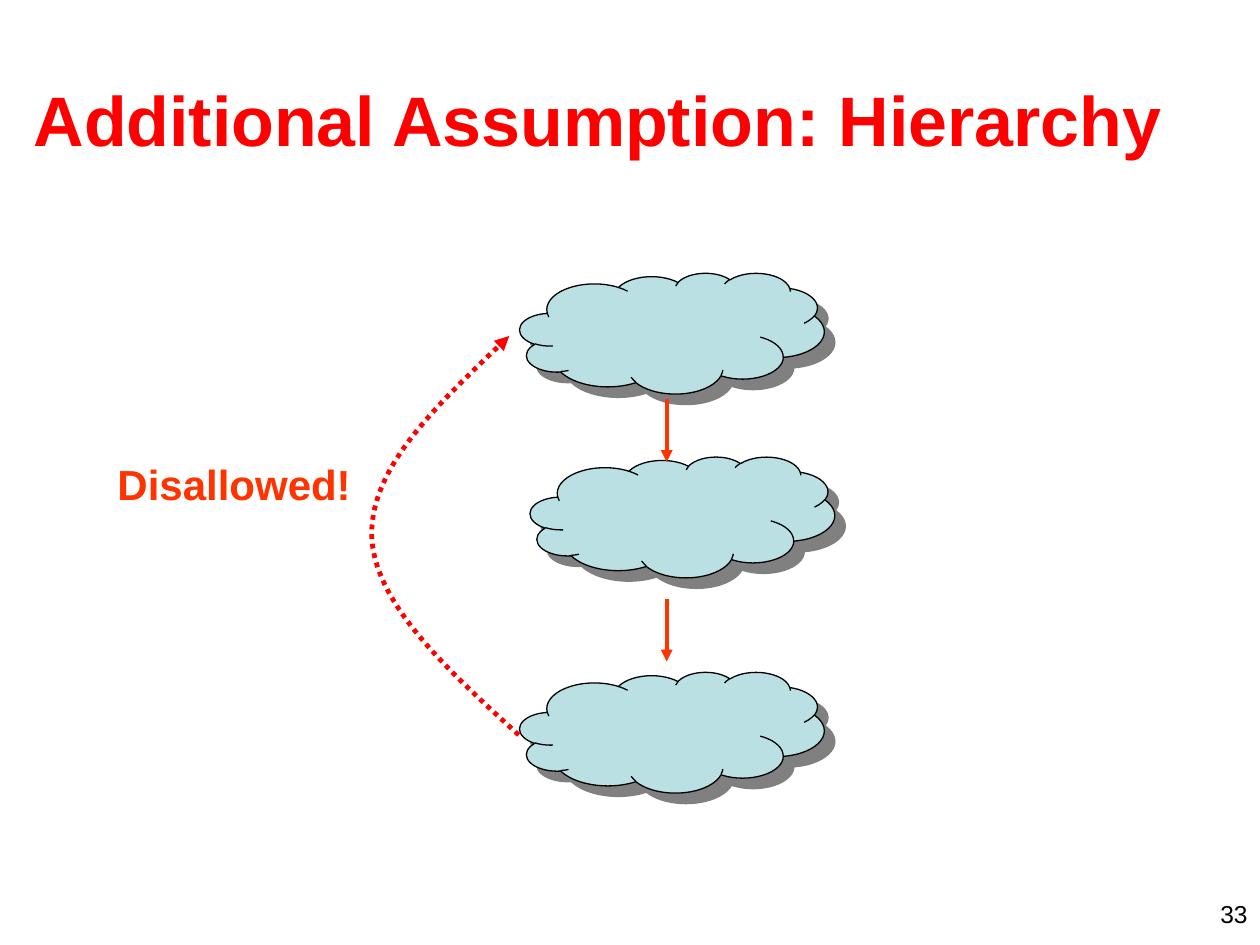
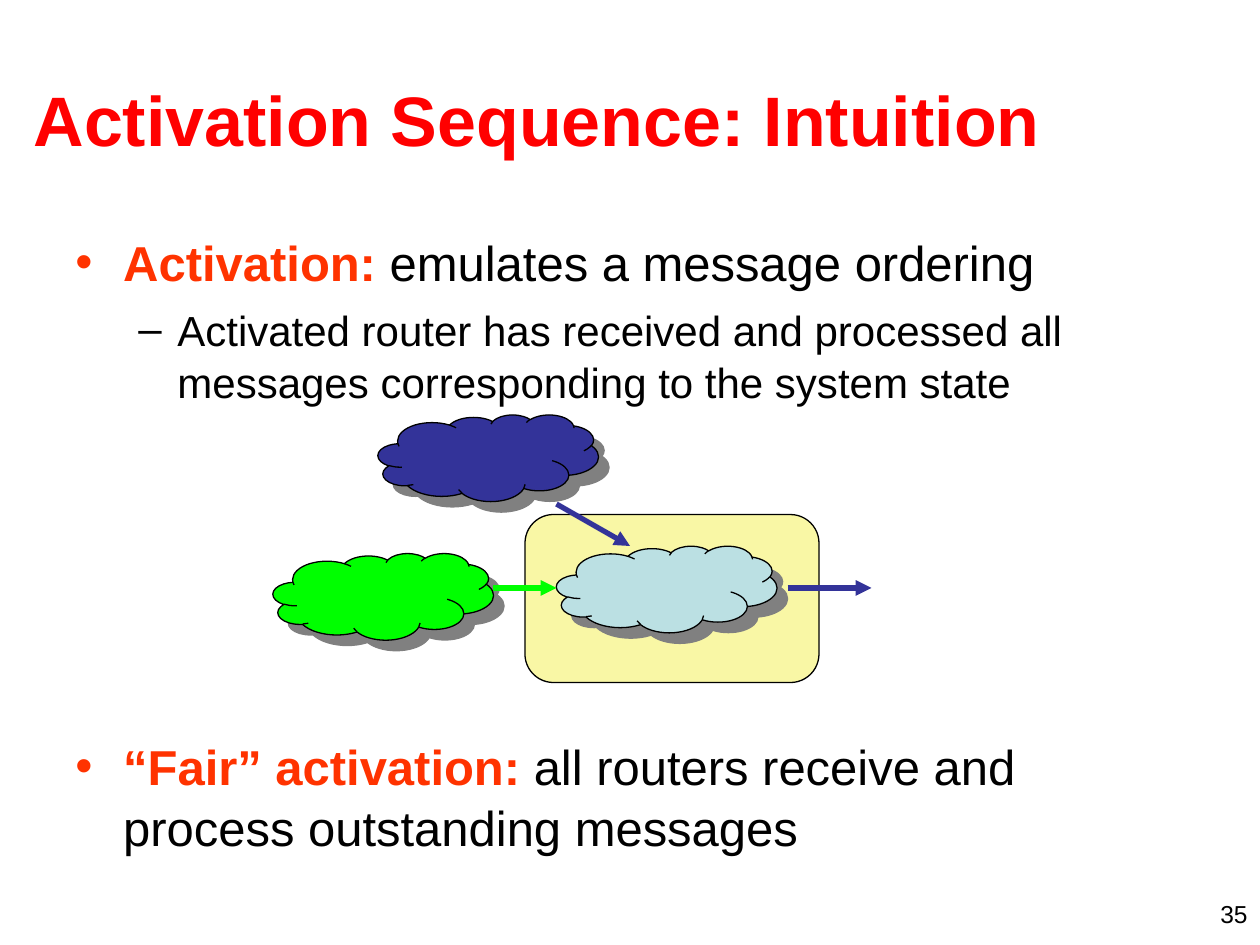
from dataclasses import dataclass

from lxml import etree
from pptx import Presentation
from pptx.dml.color import RGBColor
from pptx.enum.dml import MSO_LINE
from pptx.enum.shapes import MSO_CONNECTOR, MSO_SHAPE
from pptx.enum.text import MSO_ANCHOR, MSO_AUTO_SIZE, PP_ALIGN
from pptx.oxml.ns import qn
from pptx.util import Emu, Inches, Pt

CLOUD, ROUNDED = MSO_SHAPE.CLOUD, MSO_SHAPE.ROUNDED_RECTANGLE
STRAIGHT, DOTTED = MSO_CONNECTOR.STRAIGHT, MSO_LINE.ROUND_DOT
LEFT, CENTER, RIGHT = PP_ALIGN.LEFT, PP_ALIGN.CENTER, PP_ALIGN.RIGHT
MIDDLE, NO_AUTOFIT = MSO_ANCHOR.MIDDLE, MSO_AUTO_SIZE.NONE

FONT = "Arial"
COLORS = {
    "title": "FF0000", "accent": "FF3300", "text": "000000", "outline": "000000",
    "router": "BBE0E3", "navy": "333399", "green": "00FF00",
    "highlight": "F9F7A5", "shadow": "808080",
}
TITLE_ONLY = 5
SLIDE_WIDTH, SLIDE_HEIGHT = Inches(10), Inches(7.5)
COLUMNS, ROWS = 120, 90


@dataclass(frozen=True)
class Box:
    """Area in grid columns and rows."""
    column: float
    row: float
    width: float
    height: float

    def place(self) -> tuple:
        return across(self.column), down(self.row), across(self.width), down(self.height)


@dataclass(frozen=True)
class Cloud:
    column: float
    row: float
    color: str = "router"


@dataclass(frozen=True)
class Arrow:
    start: tuple
    end: tuple
    color: str
    weight: float


@dataclass(frozen=True)
class TextRun:
    text: str
    color: str = "text"
    bold: bool = False


@dataclass(frozen=True)
class BulletStyle:
    mark: str
    color: str
    size: int
    margin: float
    hanging: float
    space_before: int


TITLE_BOX = Box(2, 3.8, 115, 15)
NUMBER_BOX = Box(92, 85, 28, 3)
LARGE_CLOUD, SMALL_CLOUD = (29, 11.5), (21, 8.25)
POINT = BulletStyle("•", "accent", 28, 0.38, 0.38, 7)
SUBPOINT = BulletStyle("–", "text", 24, 0.81, 0.31, 6)

HIERARCHY_CLOUDS = [Cloud(49.5, 26), Cloud(50.5, 43.5), Cloud(49.5, 64)]
HIERARCHY_ARROWS = [Arrow((63.5, row), (63.5, row + 6), "accent", 2.25) for row in (38, 57)]
FORBIDDEN_CURVE = [(49.4, 70), (42.5, 63.7), (35.6, 57.4), (35.4, 51),
                   (35.3, 44.6), (41.9, 38.3), (48.5, 32)]

MESSAGE_CLOUDS = [Cloud(36, 39.5, "navy"), Cloud(26, 52.7, "green"), Cloud(53, 52)]
MESSAGE_ARROWS = [
    Arrow((53, 48), (60, 52), "navy", 3),
    Arrow((47, 56), (53, 56), "green", 3),
    Arrow((75, 56), (83, 56), "navy", 3),
]
ACTIVATION = [
    (POINT, [TextRun("Activation:", "accent", True),
             TextRun(" emulates a message ordering")]),
    (SUBPOINT, [TextRun("Activated router has received and processed all messages "
                        "corresponding to the system state")]),
]
FAIR_ACTIVATION = [
    (POINT, [TextRun("“Fair” activation: ", "accent", True),
             TextRun("all routers receive and process outstanding messages")]),
]


def across(columns: float) -> Emu:
    return Emu(round(SLIDE_WIDTH * columns / COLUMNS))


def down(rows: float) -> Emu:
    return Emu(round(SLIDE_HEIGHT * rows / ROWS))


def rgb(name: str) -> RGBColor:
    return RGBColor.from_string(COLORS[name])


def add_run(paragraph, run: TextRun, size: float) -> None:
    text_run = paragraph.add_run()
    text_run.text = run.text
    font = text_run.font
    font.name, font.size, font.bold = FONT, Pt(size), run.bold
    font.color.rgb = rgb(run.color)


def add_text(slide, box: Box, run: TextRun, size: float, alignment, wrap: bool = True) -> None:
    frame = slide.shapes.add_textbox(*box.place()).text_frame
    frame.word_wrap = wrap
    paragraph = frame.paragraphs[0]
    paragraph.alignment = alignment
    add_run(paragraph, run, size)


def add_titled_slide(presentation, title: str, number: int):
    slide = presentation.slides.add_slide(presentation.slide_layouts[TITLE_ONLY])
    shape = slide.shapes.title
    shape.left, shape.top, shape.width, shape.height = TITLE_BOX.place()
    frame = shape.text_frame
    frame.auto_size, frame.vertical_anchor = NO_AUTOFIT, MIDDLE
    frame.paragraphs[0].alignment = LEFT
    add_run(frame.paragraphs[0], TextRun(title, "title", True), 40)
    add_text(slide, NUMBER_BOX, TextRun(str(number)), 14, RIGHT)
    return slide


def add_bullets(slide, box: Box, items: list) -> None:
    frame = slide.shapes.add_textbox(*box.place()).text_frame
    frame.word_wrap = True
    for index, (style, runs) in enumerate(items):
        paragraph = frame.add_paragraph() if index else frame.paragraphs[0]
        if index:
            paragraph.space_before = Pt(style.space_before)
        paragraph.line_spacing = 1.05
        properties = paragraph._p.get_or_add_pPr()
        properties.set("marL", str(Inches(style.margin)))
        properties.set("indent", str(-Inches(style.hanging)))
        bullet_color = etree.SubElement(properties, qn("a:buClr"))
        etree.SubElement(bullet_color, qn("a:srgbClr"), val=COLORS[style.color])
        etree.SubElement(properties, qn("a:buFont"), typeface=FONT)
        etree.SubElement(properties, qn("a:buChar"), char=style.mark)
        for run in runs:
            add_run(paragraph, run, style.size)


def add_outlined(slide, kind, box: Box, color: str):
    shape = slide.shapes.add_shape(kind, *box.place())
    shape.fill.solid()
    shape.fill.fore_color.rgb = rgb(color)
    shape.line.color.rgb = rgb("outline")
    shape.line.width = Pt(0.75)
    shape.shadow.inherit = False
    return shape


def add_clouds(slide, clouds: list, size: tuple) -> None:
    for cloud in clouds:
        shape = add_outlined(slide, CLOUD, Box(cloud.column, cloud.row, *size), cloud.color)
        effects = shape._element.spPr.find(qn("a:effectLst"))
        shadow = etree.SubElement(effects, qn("a:outerShdw"), dist=str(Pt(8.5)),
                                  dir=str(45 * 60000), algn="ctr", rotWithShape="0")
        etree.SubElement(shadow, qn("a:srgbClr"), val=COLORS["shadow"])


def style_arrow(line, color: str, weight: float, dash=None) -> None:
    line.color.rgb = rgb(color)
    line.width = Pt(weight)
    if dash is not None:
        line.dash_style = dash
    etree.SubElement(line._get_or_add_ln(), qn("a:tailEnd"), type="triangle")


def add_arrows(slide, arrows: list) -> None:
    for arrow in arrows:
        (start_column, start_row), (end_column, end_row) = arrow.start, arrow.end
        connector = slide.shapes.add_connector(
            STRAIGHT, across(start_column), down(start_row), across(end_column), down(end_row))
        style_arrow(connector.line, arrow.color, arrow.weight)
        etree.SubElement(connector._element.spPr, qn("a:effectLst"))


def add_curved_arrow(slide, points: list, color: str, weight: float) -> None:
    """Draw Bezier curves: a start point, then two controls and an end per curve."""
    start, *others = [(across(column), down(row)) for column, row in points]
    builder = slide.shapes.build_freeform(*start)
    builder.add_line_segments(others, close=False)
    shape = builder.convert_to_shape()
    segments = list(shape._element.iter(qn("a:lnTo")))
    for first in range(0, len(segments), 3):
        curve = etree.Element(qn("a:cubicBezTo"))
        segments[first].addprevious(curve)
        for segment in segments[first:first + 3]:
            curve.append(segment[0])
            segment.getparent().remove(segment)
    shape.fill.background()
    shape.shadow.inherit = False
    style_arrow(shape.line, color, weight, DOTTED)


def build_hierarchy(presentation) -> None:
    slide = add_titled_slide(presentation, "Additional Assumption: Hierarchy", 33)
    add_clouds(slide, HIERARCHY_CLOUDS, LARGE_CLOUD)
    add_arrows(slide, HIERARCHY_ARROWS)
    add_curved_arrow(slide, FORBIDDEN_CURVE, "title", 2.75)
    add_text(slide, Box(10, 43.1, 24.6, 6), TextRun("Disallowed!", "accent", True),
             24, CENTER, wrap=False)


def build_activation(presentation) -> None:
    slide = add_titled_slide(presentation, "Activation Sequence: Intuition", 35)
    highlight = add_outlined(slide, ROUNDED, Box(50, 49, 28, 16), "highlight")
    highlight.adjustments[0] = 0.17
    add_bullets(slide, Box(6, 21.25, 108, 18), ACTIVATION)
    add_bullets(slide, Box(6, 69.25, 108, 18), FAIR_ACTIVATION)
    add_clouds(slide, MESSAGE_CLOUDS, SMALL_CLOUD)
    add_arrows(slide, MESSAGE_ARROWS)


def main() -> None:
    presentation = Presentation()
    presentation.slide_width, presentation.slide_height = SLIDE_WIDTH, SLIDE_HEIGHT
    build_hierarchy(presentation)
    build_activation(presentation)
    presentation.save("out.pptx")


if __name__ == "__main__":
    main()
